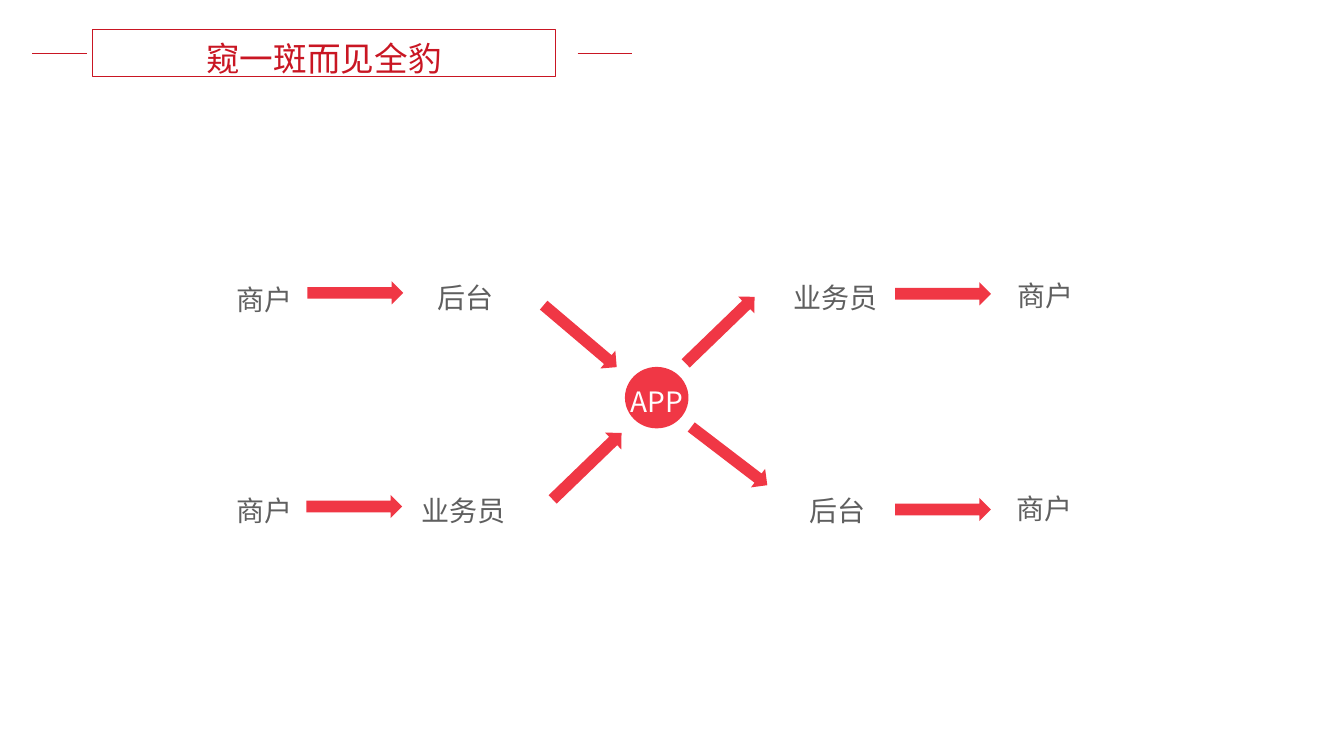
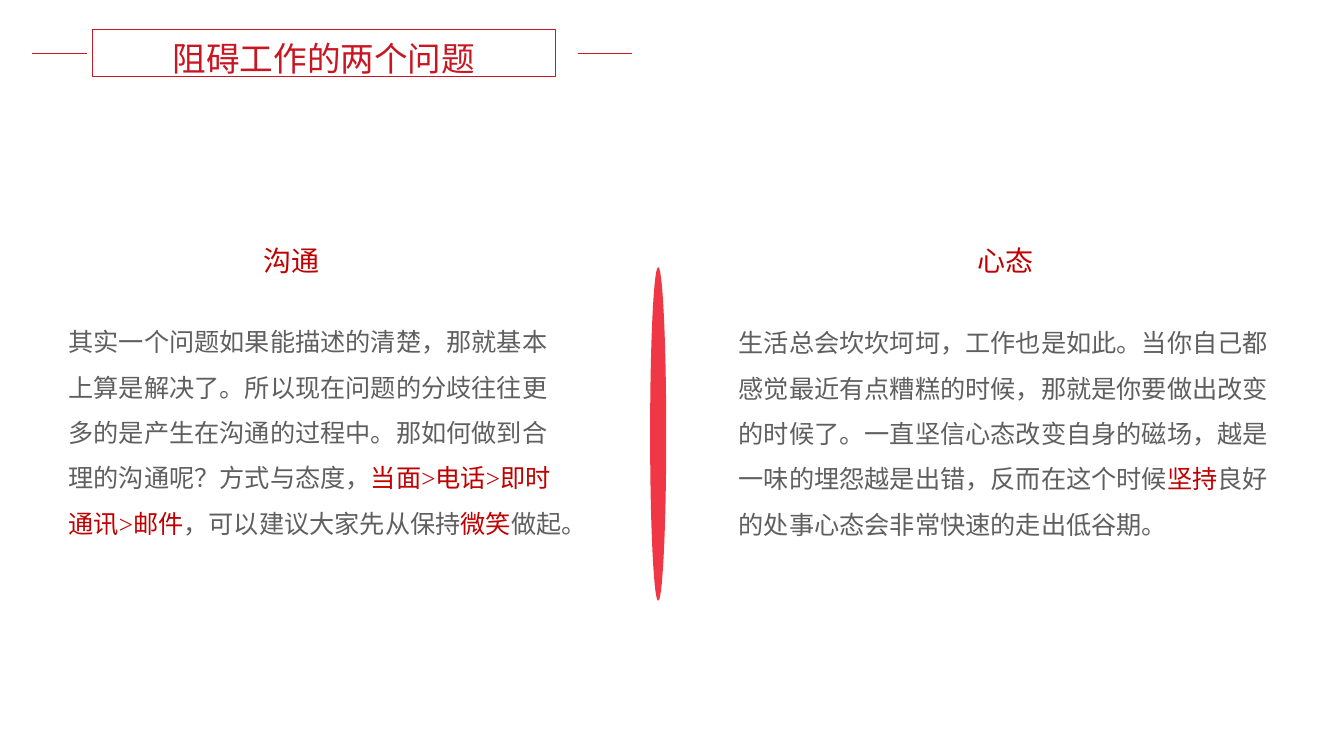
from dataclasses import dataclass
from typing import NamedTuple

from lxml.etree import SubElement
from pptx import Presentation
from pptx.dml.color import RGBColor as Rgb
from pptx.enum.shapes import MSO_CONNECTOR as Conn, MSO_SHAPE as Kind
from pptx.enum.text import MSO_ANCHOR as Anchor, MSO_AUTO_SIZE as Fit, PP_ALIGN as Align
from pptx.oxml.ns import qn
from pptx.shapes.base import BaseShape
from pptx.slide import Slide
from pptx.text.text import TextFrame
from pptx.util import Pt


@dataclass(frozen=True)
class Theme:
    frame: Rgb = Rgb(0xC9, 0x16, 0x23)
    fill: Rgb = Rgb(0xF0, 0x37, 0x45)
    mark: Rgb = Rgb(0xC0, 0x00, 0x00)
    text: Rgb = Rgb(0x5F, 0x5F, 0x5F)
    white: Rgb = Rgb(0xFF, 0xFF, 0xFF)
    title: float = 24
    label: float = 20
    body: float = 18
    sans: str = "Noto Sans CJK SC"
    head: str = "Arial"
    serif: str = "Times New Roman"
    line: float = 1.2


THEME = Theme()


class Box(NamedTuple):
    left: float
    top: float
    width: float
    height: float


class Label(NamedTuple):
    text: str
    left: float
    top: float
    width: float = 90.7
    color: Rgb = THEME.text


class Arrow(NamedTuple):
    left: float
    top: float
    turn: float = 0


class Column(NamedTuple):
    head: str
    head_left: float
    body: Box
    lines: tuple[str, ...]


TITLE = Box(66.2, 20.9, 330.5, 33.8)
RULE_Y = 38.2
RULE_X = (23, 412.6)
RULE_W = 39.2
LABEL_H = 31.7
ARROW_W, ARROW_H = 68.4, 16.6
HEAD_TOP = 163.4

LABELS = (
    Label("APP", 424.1, 268.6, color=THEME.white),
    Label("商户", 154.1, 195.8, 69.8),
    Label("后台", 287.3, 194.4),
    Label("业务员", 551.5, 194.4),
    Label("商户", 701.3, 193),
    Label("商户", 143.3, 346.3),
    Label("业务员", 285.8, 346.3),
    Label("后台", 553, 346.3),
    Label("商户", 711.4, 344.9, 69.8),
)

ARROWS = (
    Arrow(219.6, 200.9),
    Arrow(639.4, 201.6),
    Arrow(218.9, 353.5),
    Arrow(639.4, 355.7),
    Arrow(380.2, 231.8, 40.3),
    Arrow(486.7, 317.5, 37.4),
    Arrow(480.2, 227.5, 316),
    Arrow(385.2, 324.7, 316),
)

COLUMNS = (
    Column("沟通", 181.4, Box(41.8, 218.9, 388.1, 169.2), (
        "其实一个问题如果能描述的清楚，那就基本",
        "上算是解决了。所以现在问题的分歧往往更",
        "多的是产生在沟通的过程中。那如何做到合",
        "理的沟通呢？方式与态度，*当面>电话>即时*",
        "*通讯>邮件*，可以建议大家先从保持*微笑*做起。",
    )),
    Column("心态", 691.2, Box(520.6, 219.6, 396, 169.2), (
        "生活总会坎坎坷坷，工作也是如此。当你自己都",
        "感觉最近有点糟糕的时候，那就是你要做出改变",
        "的时候了。一直坚信心态改变自身的磁场，越是",
        "一味的埋怨越是出错，反而在这个时候*坚持*良好",
        "的处事心态会非常快速的走出低谷期。",
    )),
)


def points(box: Box) -> tuple[Pt, ...]:
    return tuple(Pt(side) for side in box)


def write(frame: TextFrame, lines: tuple[str, ...], *, size: float, color: Rgb,
          font: str = THEME.sans, align: Align = Align.CENTER,
          space: float = 1.1, wrap: bool = True) -> None:
    frame.word_wrap = wrap
    frame.auto_size = Fit.NONE if wrap else Fit.SHAPE_TO_FIT_TEXT
    frame.vertical_anchor = Anchor.TOP
    for row, line in enumerate(lines):
        para = frame.add_paragraph() if row else frame.paragraphs[0]
        para.alignment = align
        para.line_spacing = Pt(size * THEME.line * space)
        for part, text in enumerate(line.split("*")):
            if not text:
                continue
            run = para.add_run()
            run.text = text
            run.font.size = Pt(size)
            run.font.name = font
            run.font.color.rgb = THEME.mark if part % 2 else color
            east = SubElement(run.font._element, qn("a:ea"))
            east.set("typeface", THEME.sans)


def add_text(slide: Slide, box: Box, *lines: str, **style) -> None:
    write(slide.shapes.add_textbox(*points(box)).text_frame, lines, **style)


def add_solid(slide: Slide, kind: Kind, box: Box, turn: float = 0) -> BaseShape:
    shape = slide.shapes.add_shape(kind, *points(box))
    shape.shadow.inherit = False
    shape.fill.solid()
    shape.fill.fore_color.rgb = THEME.fill
    shape.line.fill.background()
    shape.rotation = turn
    return shape


def add_rule(slide: Slide, left: float) -> None:
    rule = slide.shapes.add_connector(
        Conn.STRAIGHT, Pt(left), Pt(RULE_Y), Pt(left + RULE_W), Pt(RULE_Y))
    rule.line.color.rgb = THEME.frame
    rule.line.width = Pt(1)
    SubElement(rule._element.spPr, qn("a:effectLst"))


def add_page(deck: Presentation, text: str) -> Slide:
    slide = deck.slides.add_slide(deck.slide_layouts.get_by_name("Title Only"))
    for left in RULE_X:
        add_rule(slide, left)
    title = slide.shapes.title
    title.left, title.top, title.width, title.height = points(TITLE)
    title.line.color.rgb = THEME.frame
    title.line.width = Pt(0.75)
    write(title.text_frame, (text,), size=THEME.title, color=THEME.frame)
    return slide


def draw_flow(deck: Presentation) -> None:
    slide = add_page(deck, "窥一斑而见全豹")
    add_solid(slide, Kind.OVAL, Box(446.4, 262.1, 45.4, 43.9))
    for arrow in ARROWS:
        box = Box(arrow.left, arrow.top, ARROW_W, ARROW_H)
        add_solid(slide, Kind.RIGHT_ARROW, box, arrow.turn)
    for label in LABELS:
        box = Box(label.left, label.top, label.width, LABEL_H)
        add_text(slide, box, label.text, size=THEME.label, color=label.color)


def draw_issues(deck: Presentation) -> None:
    slide = add_page(deck, "阻碍工作的两个问题")
    add_solid(slide, Kind.OVAL, Box(464.4, 190.8, 11.5, 238.3))
    for col in COLUMNS:
        add_text(slide, Box(col.head_left, HEAD_TOP, 54.7, 36), col.head,
                 size=THEME.label, color=THEME.mark, font=THEME.head,
                 align=Align.LEFT, space=1.3, wrap=False)
        add_text(slide, col.body, *col.lines,
                 size=THEME.body, color=THEME.text, font=THEME.serif,
                 align=Align.LEFT, space=1.5, wrap=False)


def main() -> None:
    deck = Presentation()
    deck.slide_width, deck.slide_height = Pt(960), Pt(540)
    draw_flow(deck)
    draw_issues(deck)
    deck.save("out.pptx")


if __name__ == "__main__":
    main()
